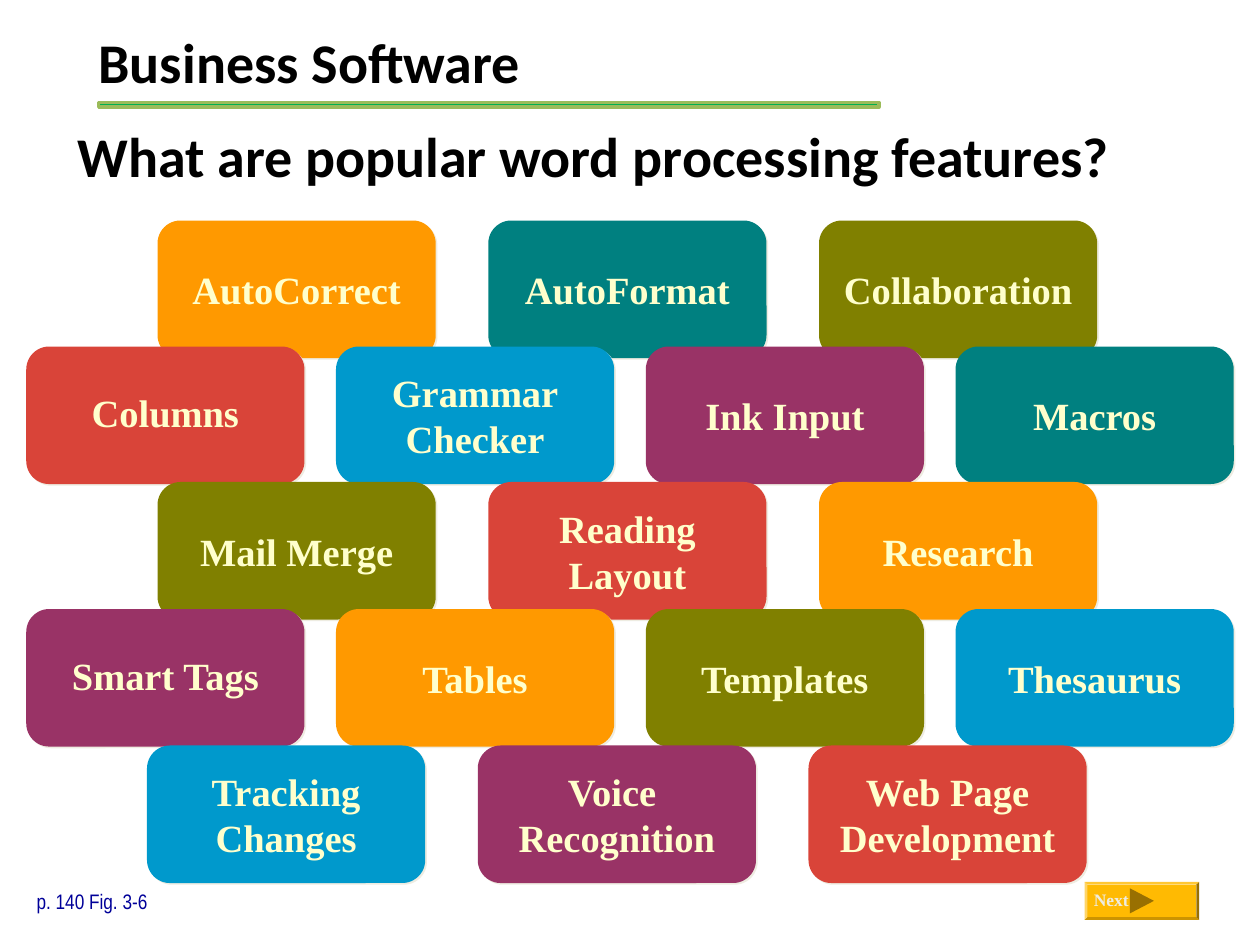
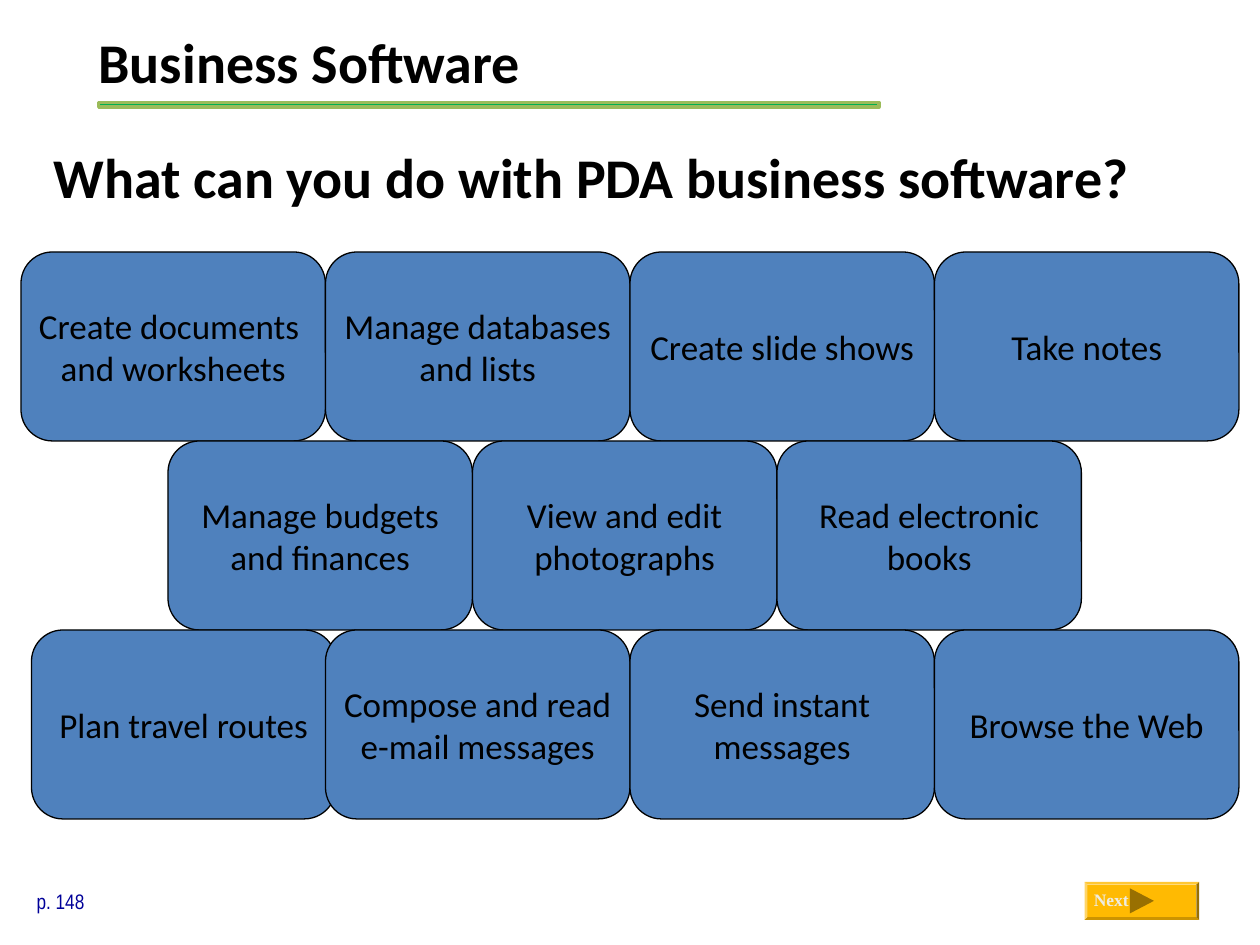
"""Build two slides on business software with staggered rows of tiles."""
from dataclasses import dataclass
from typing import Any

from lxml import etree
from pptx import Presentation
from pptx.dml.color import RGBColor
from pptx.enum.shapes import MSO_SHAPE
from pptx.enum.text import MSO_ANCHOR, PP_ALIGN
from pptx.oxml.ns import qn
from pptx.util import Inches, Pt

ROUND, BEVEL, RECT = MSO_SHAPE.ROUNDED_RECTANGLE, MSO_SHAPE.BEVEL, MSO_SHAPE.RECTANGLE
LEFT, CENTER = PP_ALIGN.LEFT, PP_ALIGN.CENTER
TOP, MIDDLE = MSO_ANCHOR.TOP, MSO_ANCHOR.MIDDLE

WIDE, HIGH = 120, 90
CELL = Inches(10) / WIDE

ORANGE, TEAL, OLIVE = "FF9900", "008080", "808000"
RED, BLUE, PLUM = "D94439", "0099CC", "993366"
STEEL, BLACK, GOLD, BROWN = "4F81BD", "000000", "FFBA02", "997001"
GREEN, LIME, IVORY = "00B050", "9BBB59", "EEECE1"

HEAD = {"name": "Calibri", "size": Pt(32), "bold": True}
NOTE = {"name": "Arial Narrow", "size": Pt(12), "bold": False}
NEXT = {"name": "Times New Roman", "size": Pt(10), "bold": True}
BOLD = {"name": "Times New Roman", "size": Pt(22), "bold": True}
PLAIN = {"name": "Calibri", "size": Pt(20), "bold": False}


@dataclass(frozen=True)
class Box:
    left: float
    top: float
    width: float
    height: float

    def spans(self) -> list[int]:
        return [span(v) for v in (self.left, self.top, self.width, self.height)]


@dataclass(frozen=True)
class Look:
    width: float
    height: float
    font: dict[str, Any]
    ink: str
    inset: tuple[float, float]
    edge: str = ""
    shade: str = ""


@dataclass(frozen=True)
class Tile:
    text: str
    fill: str = STEEL
    lead: float = 1.0


@dataclass(frozen=True)
class Row:
    left: float
    top: float
    step: float
    tiles: list[Tile]


@dataclass(frozen=True)
class Page:
    ask: str
    spot: Box
    note: str
    look: Look
    rows: list[Row]


FEATURE = Look(26.5, 13.1, BOLD, "FFFFCC", (0, 0), shade=IVORY)
TASK = Look(29, 18, PLAIN, BLACK, (0.1, 0.05), edge=BLACK)

PAGES = [
    Page("What are popular word processing features?", Box(3.8, 11, 105.5, 9.8),
         "p. 140 Fig. 3-6", FEATURE, [
             Row(15, 21, 31.5, [Tile("AutoCorrect", ORANGE), Tile("AutoFormat", TEAL),
                                Tile("Collaboration", OLIVE)]),
             Row(2.5, 33, 29.5, [Tile("Columns", RED, 0.9), Tile("Grammar\nChecker", BLUE),
                                 Tile("Ink Input", PLUM), Tile("Macros", TEAL)]),
             Row(15, 45.9, 31.5, [Tile("Mail Merge", OLIVE), Tile("Reading\nLayout", RED),
                                  Tile("Research", ORANGE)]),
             Row(2.5, 58, 29.5, [Tile("Smart Tags", PLUM, 0.9), Tile("Tables", ORANGE),
                                 Tile("Templates", OLIVE), Tile("Thesaurus", BLUE)]),
             Row(14, 71, 31.5, [Tile("Tracking\nChanges", BLUE),
                                Tile("Voice \nRecognition", PLUM),
                                Tile("Web Page\nDevelopment", RED)]),
         ]),
    Page("What can you do with PDA business software?", Box(3.8, 13, 105.1, 7.7),
         "p. 148", TASK, [
             Row(2, 24, 29, [Tile("Create documents \nand worksheets"),
                             Tile("Manage databases\nand lists"),
                             Tile("Create slide shows"), Tile("Take notes")]),
             Row(16, 42, 29, [Tile("Manage budgets\nand finances"),
                              Tile("View and edit\nphotographs"),
                              Tile("Read electronic\nbooks")]),
             Row(3, 60, 29, [Tile("Plan travel routes")]),
             Row(31, 60, 29, [Tile("Compose and read\ne-mail messages"),
                              Tile("Send instant\nmessages"), Tile("Browse the Web")]),
         ]),
]


def span(cells: float) -> int:
    return round(cells * CELL)


def paint(target: Any, tone: str) -> None:
    target.solid()
    target.fore_color.rgb = RGBColor.from_string(tone)


def dress(shape: Any, fill: str, edge: str = "", width: float = 0.75) -> None:
    shape.shadow.inherit = False
    paint(shape.fill, fill)
    if edge:
        paint(shape.line.fill, edge)
        shape.line.width = Pt(width)
    else:
        shape.line.fill.background()


def write(shape: Any, text: str, font: dict[str, Any], ink: str, align: Any = LEFT,
          anchor: Any = TOP, inset: tuple[float, float] = (0.1, 0.05),
          wrap: bool = True, lead: float = 1.0) -> None:
    side, edge = (Inches(v) for v in inset)
    frame = shape.text_frame
    form = {"margin_left": side, "margin_right": side, "margin_top": edge,
            "margin_bottom": edge, "vertical_anchor": anchor, "word_wrap": wrap}
    for key, value in form.items():
        setattr(frame, key, value)
    para = frame.paragraphs[0]
    para.text = text
    para.alignment = align
    para.line_spacing = lead
    for run in para.runs:
        for key, value in font.items():
            setattr(run.font, key, value)
        paint(run.font.fill, ink)


def label(slide: Any, box: Box, text: str, font: dict[str, Any], ink: str,
          align: Any = LEFT) -> None:
    write(slide.shapes.add_textbox(*box.spans()), text, font, ink, align)


def shade(shape: Any, tone: str) -> None:
    effects = shape.element.spPr.find(qn("a:effectLst"))
    cast = etree.SubElement(effects, qn("a:outerShdw"), dist=str(Pt(1.4)),
                            dir="2700000", algn="ctr", rotWithShape="0")
    etree.SubElement(cast, qn("a:srgbClr"), val=tone)


def stack(slide: Any, row: Row, look: Look) -> None:
    for col, tile in enumerate(row.tiles):
        box = Box(row.left + col * row.step, row.top, look.width, look.height)
        shape = slide.shapes.add_shape(ROUND, *box.spans())
        shape.adjustments[0] = 0.167
        dress(shape, tile.fill, look.edge)
        if look.shade:
            shade(shape, look.shade)
        write(shape, tile.text, look.font, look.ink, CENTER, MIDDLE, look.inset,
              False, tile.lead)


def button(slide: Any) -> None:
    base = slide.shapes.add_shape(BEVEL, *Box(103.3, 84, 10.9, 3.6).spans())
    base.adjustments[0] = 0.07
    dress(base, GOLD)
    pen = slide.shapes.build_freeform(span(107.6), span(84.6))
    pen.add_line_segments([(span(109.9), span(85.8)), (span(107.6), span(87))])
    dress(pen.convert_to_shape(), BROWN)
    label(slide, Box(103, 84.1, 6.1, 3.2), "Next", NEXT, IVORY)


def draw(slide: Any, page: Page) -> None:
    label(slide, Box(8.2, 2, 44, 7.7), "Business Software", HEAD, BLACK)
    rule = slide.shapes.add_shape(RECT, *Box(9.4, 9.75, 74.3, 0.45).spans())
    dress(rule, GREEN, LIME, 2)
    label(slide, page.spot, page.ask, HEAD, BLACK, CENTER)
    label(slide, Box(2.3, 84, 20.6, 3.6), page.note, NOTE, "000099")
    button(slide)
    for row in page.rows:
        stack(slide, row, page.look)


def main() -> None:
    deck = Presentation()
    deck.slide_width, deck.slide_height = span(WIDE), span(HIGH)
    for page in PAGES:
        draw(deck.slides.add_slide(deck.slide_layouts[6]), page)
    deck.save("out.pptx")


if __name__ == "__main__":
    main()
